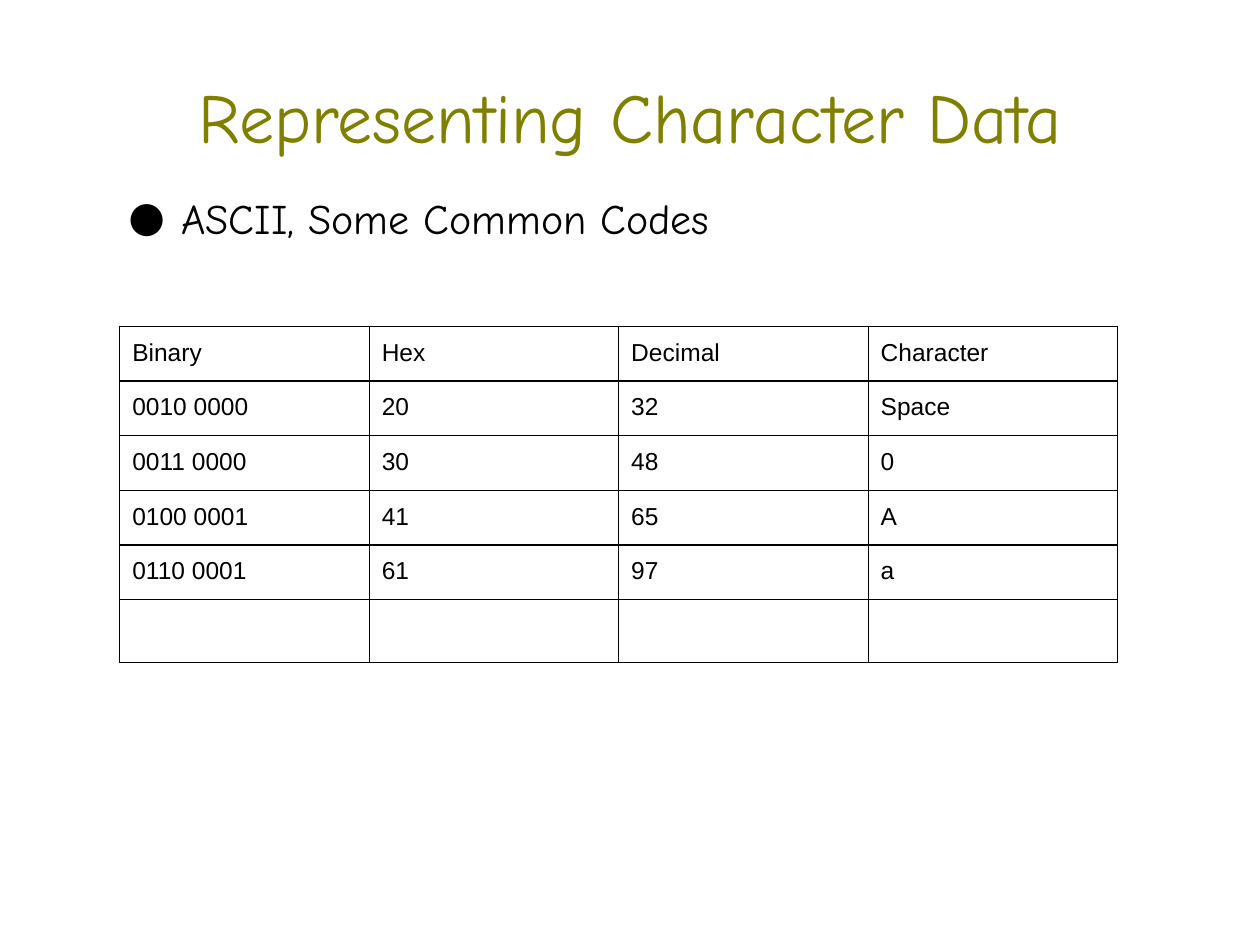
from lxml.etree import SubElement
from pptx import Presentation
from pptx.dml.color import RGBColor
from pptx.enum.text import MSO_ANCHOR, PP_ALIGN
from pptx.oxml.ns import qn
from pptx.util import Inches, Pt

TITLE = "Representing Character Data"
TOPIC = "ASCII, Some Common Codes"
CODES = [
    ("Binary", "Hex", "Decimal", "Character"),
    ("0010 0000", "20", "32", "Space"),
    ("0011 0000", "30", "48", "0"),
    ("0100 0001", "41", "65", "A"),
    ("0110 0001", "61", "97", "a"),
    ("", "", "", ""),
]
COLORS = {"title": "808000", "text": "000000", "border": "000000"}
HEADING_FONT, TABLE_FONT = "Comic Neue", "Arial"
COLUMN_WIDTH, ROW_HEIGHT, CELL_MARGIN = 1.98, 0.42, 0.1


def add_run(paragraph, text, size, font, color):
    run = paragraph.add_run()
    run.text = text
    run.font.size = Pt(size)
    run.font.name = font
    run.font.color.rgb = RGBColor.from_string(COLORS[color])


def add_text(slide, box, anchor):
    frame = slide.shapes.add_textbox(*map(Inches, box)).text_frame
    frame.word_wrap = True
    frame.vertical_anchor = anchor
    return frame.paragraphs[0]


def add_bullet(paragraph, symbol, indent, hanging):
    properties = paragraph._p.get_or_add_pPr()
    properties.set("marL", str(Inches(indent)))
    properties.set("indent", str(-Inches(hanging)))
    color = SubElement(properties, qn("a:buClr"))
    SubElement(color, qn("a:srgbClr"), val=COLORS["text"])
    SubElement(properties, qn("a:buFont"), typeface=HEADING_FONT)
    SubElement(properties, qn("a:buChar"), char=symbol)


def style_cell(cell):
    cell.margin_left = cell.margin_right = Inches(CELL_MARGIN)
    cell.margin_top = cell.margin_bottom = Inches(CELL_MARGIN)
    properties = cell._tc.get_or_add_tcPr()
    for side in ("lnL", "lnR", "lnT", "lnB"):
        line = SubElement(properties, qn(f"a:{side}"), w=str(Pt(0.75)))
        fill = SubElement(line, qn("a:solidFill"))
        SubElement(fill, qn("a:srgbClr"), val=COLORS["border"])
    cell.fill.background()


def add_codes(slide, left, top):
    rows, columns = len(CODES), len(CODES[0])
    table = slide.shapes.add_table(
        rows, columns, Inches(left), Inches(top),
        Inches(columns * COLUMN_WIDTH), Inches(rows * ROW_HEIGHT),
    ).table
    table.first_row = table.horz_banding = False
    for r, code in enumerate(CODES):
        for c, value in enumerate(code):
            cell = table.cell(r, c)
            style_cell(cell)
            if value:
                add_run(cell.text_frame.paragraphs[0], value, 14, TABLE_FONT, "text")


def main():
    deck = Presentation()
    deck.slide_width, deck.slide_height = Inches(10), Inches(7.5)
    slide = deck.slides.add_slide(deck.slide_layouts[6])

    title = add_text(slide, (0.75, 0.42, 8.5, 1), MSO_ANCHOR.MIDDLE)
    title.alignment = PP_ALIGN.CENTER
    add_run(title, TITLE, 40, HEADING_FONT, "title")

    topic = add_text(slide, (0.84, 1.42, 8.48, 0.79), MSO_ANCHOR.TOP)
    topic.line_spacing = 1.15
    add_bullet(topic, "●", 0.5, 0.42)
    add_run(topic, TOPIC, 24, HEADING_FONT, "text")

    add_codes(slide, 0.95, 2.59)
    deck.save("out.pptx")


if __name__ == "__main__":
    main()
